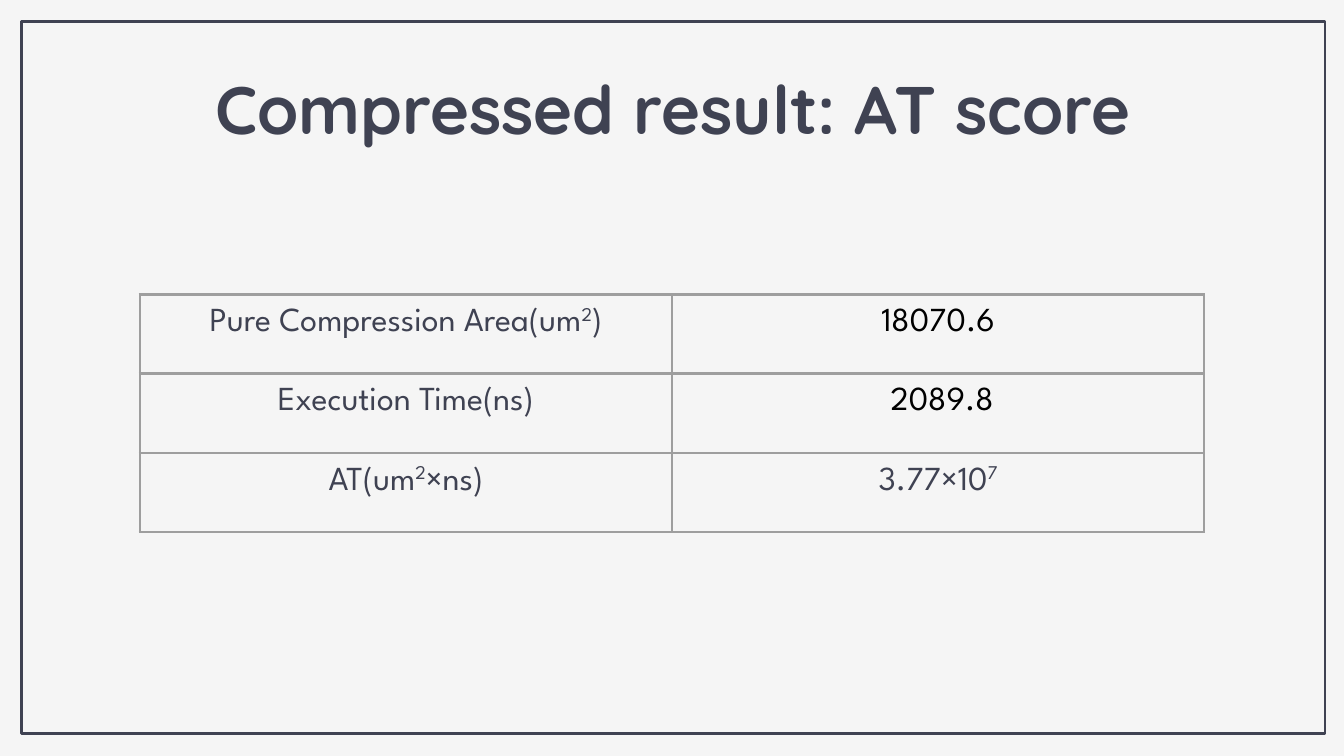
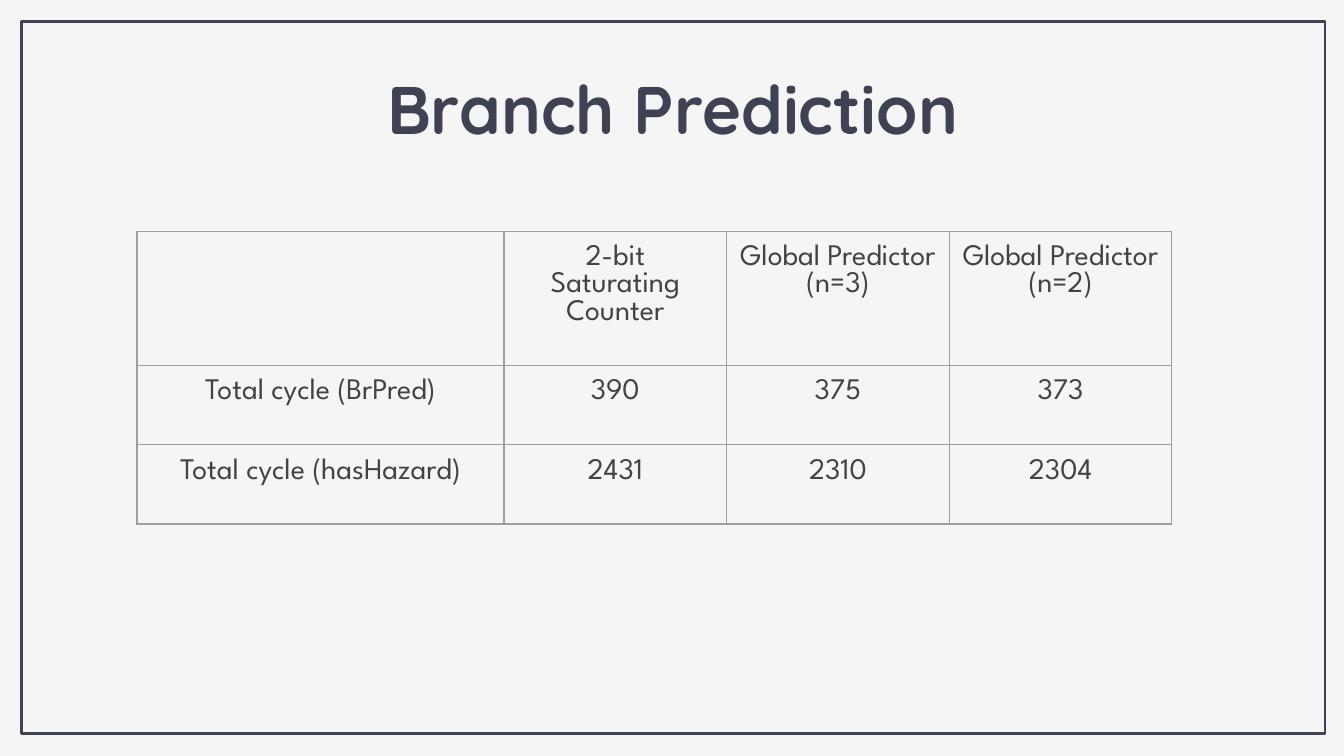
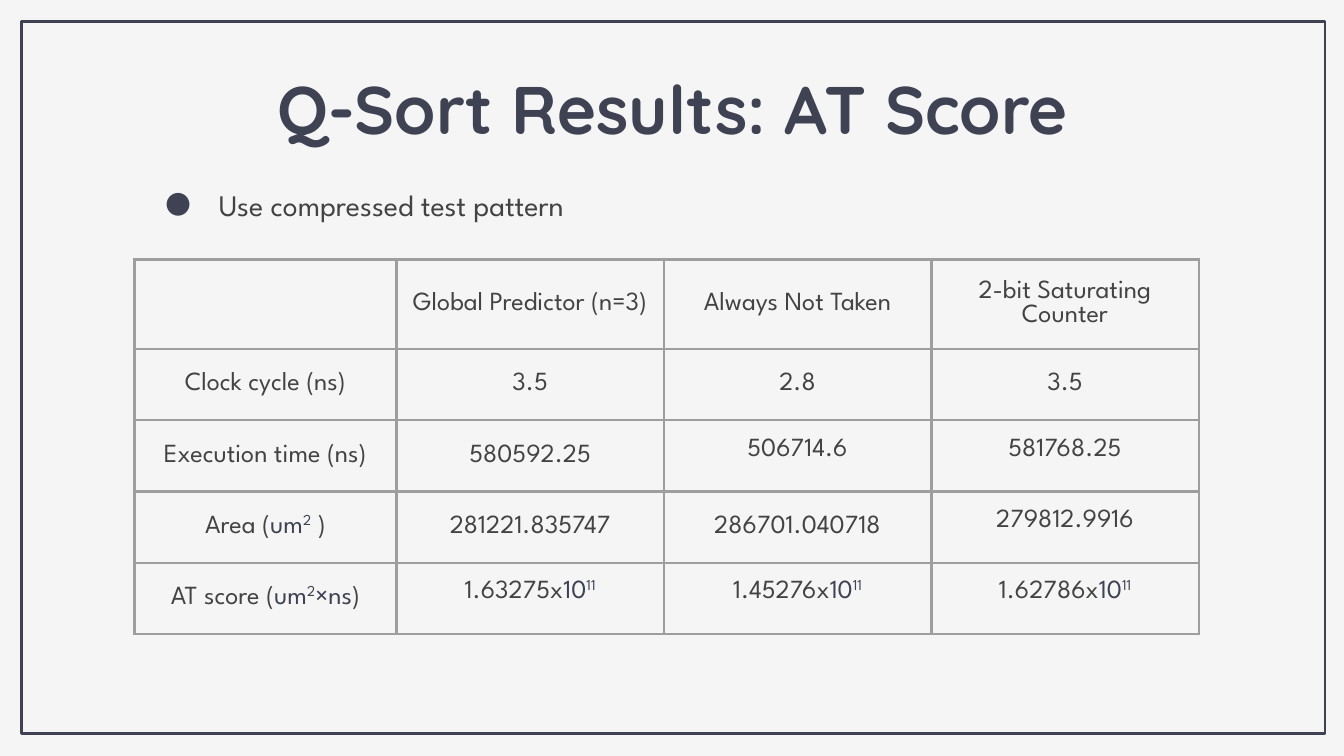
from lxml.etree import SubElement as Sub
from pptx import Presentation
from pptx.dml.color import RGBColor as RGB
from pptx.enum.shapes import MSO_SHAPE as Shape
from pptx.enum.text import MSO_ANCHOR as Anchor, PP_ALIGN as Align
from pptx.oxml.ns import qn
from pptx.util import Inches, Pt

COLORS = {"back": "F5F5F5", "navy": "3F4252", "text": "434343",
          "black": "000000", "grid": "9E9E9E"}
HEAD, BODY = "Quicksand", "League Spartan"
# A piece of cell text may start with a mark that sets its colour; ^ also raises it.
MARKS = {"*": "navy", "^": "navy", "#": "black"}

# Cells listed in "spaced" get paragraph spacing, those in "tight" thin insets.
SLIDES = [
    {"title": "Compressed result: AT score",
     "at": (1.04, 2.19), "cols": [3.96] * 2, "rows": [0.59] * 3,
     "size": 18, "color": "navy", "line": 1.5, "anchor": Anchor.TOP,
     "spaced": [(1, 1), (2, 1)], "tight": [],
     "cells": [["Pure Compression Area(um|^2|)", "#18070.6"],
               ["Execution Time(ns)", "# 2089.8"],
               ["AT(um|^2|×ns)", "3.77×10|^7"]]},
    {"title": "Branch Prediction",
     "at": (1.02, 1.72), "cols": [2.73] + [4.97 / 3] * 3, "rows": [0.59] * 3,
     "size": 16, "color": "text", "line": 0.75, "anchor": Anchor.TOP,
     "spaced": [], "tight": [],
     "cells": [["", "2-bit Saturating Counter", "Global Predictor (n=3)",
                "Global Predictor (n=2)"],
               ["Total cycle (BrPred)", "390", "375", "373"],
               ["Total cycle (hasHazard)", "2431", "2310", "2304"]]},
    {"title": "Q-Sort Results: AT Score", "point": "Use compressed test pattern",
     "at": (1, 1.93), "cols": [1.95] + [1.99] * 3, "rows": [0.66] + [0.53] * 4,
     "size": 14, "color": "text", "line": 1.5, "anchor": Anchor.MIDDLE,
     "spaced": [], "tight": [(2, 2), (2, 3), (3, 3), (4, 1), (4, 2), (4, 3)],
     "cells": [["", "Global Predictor (n=3)", "Always Not Taken",
                "2-bit Saturating Counter"],
               ["Clock cycle (ns)", "3.5", "2.8", "3.5"],
               ["Execution time (ns)", "580592.25", "506714.6", "581768.25"],
               ["Area (|*um|^2| )", "281221.835747", "286701.040718", "279812.9916"],
               ["AT score (|*um|^2|*×ns|)", "1.63275x|*10|^11",
                "1.45276x|*10|^11", "1.62786x|*10|^11"]]},
]


def style(run, face, size, color, bold=False):
    font = run.font
    font.name, font.size, font.bold = face, Pt(size), bold
    font.color.rgb = RGB.from_string(COLORS[color])


def add_text(slide, text, left, top, width, height):
    """Add a wrapping text box with even insets; return its paragraph."""
    frame = slide.shapes.add_textbox(
        Inches(left), Inches(top), Inches(width), Inches(height)).text_frame
    frame.word_wrap = True
    frame.margin_top = frame.margin_bottom = Inches(0.1)
    frame.text = text
    return frame.paragraphs[0]


prs = Presentation()
prs.slide_width = Inches(10)
prs.slide_height = prs.slide_width * 9 // 16
back = prs.slide_master.background.fill
back.solid()
back.fore_color.rgb = RGB.from_string(COLORS["back"])

for page in SLIDES:
    slide = prs.slides.add_slide(prs.slide_layouts[6])

    frame = slide.shapes.add_shape(
        Shape.RECTANGLE, Inches(0.16), Inches(0.16), Inches(9.7), Inches(5.3))
    frame.shadow.inherit = False
    frame.fill.background()
    frame.line.color.rgb = RGB.from_string(COLORS["navy"])
    frame.line.width = Pt(1.5)

    title = add_text(slide, page["title"], 0.79, 0.4, 8.43, 0.63)
    title.alignment = Align.CENTER
    style(title.runs[0], HEAD, 36, "navy", bold=True)

    if "point" in page:
        point = add_text(slide, page["point"], 1.03, 1.32, 7.87, 3.71)
        point.line_spacing = 0.9
        style(point.runs[0], BODY, 16, "text")
        props = point._p.get_or_add_pPr()
        props.set("marL", str(Inches(0.5)))
        props.set("indent", str(Inches(-0.4)))
        Sub(Sub(props, qn("a:buClr")), qn("a:srgbClr"), val=COLORS["navy"])
        Sub(props, qn("a:buFont"), typeface=BODY)
        Sub(props, qn("a:buChar"), char="●")

    cols, rows = page["cols"], page["rows"]
    left, top = page["at"]
    table = slide.shapes.add_table(
        len(rows), len(cols), Inches(left), Inches(top),
        Inches(sum(cols)), Inches(sum(rows))).table
    table.first_row = table.horz_banding = False
    for col, width in zip(table.columns, cols):
        col.width = Inches(width)
    for row, height in zip(table.rows, rows):
        row.height = Inches(height)

    for r, line in enumerate(page["cells"]):
        for c, text in enumerate(line):
            cell = table.cell(r, c)
            props = cell._tc.get_or_add_tcPr()
            for side in ("lnL", "lnR", "lnT", "lnB"):
                edge = Sub(props, qn("a:" + side), w=str(Pt(page["line"])))
                Sub(Sub(edge, qn("a:solidFill")), qn("a:srgbClr"), val=COLORS["grid"])
            cell.fill.background()
            cell.vertical_anchor = page["anchor"]
            inset = Inches(0.01 if (r, c) in page["tight"] else 0.1)
            cell.margin_left = cell.margin_right = cell.margin_top = inset
            cell.margin_bottom = Inches(0.1)

            para = cell.text_frame.paragraphs[0]
            para.alignment = Align.CENTER
            if (r, c) in page["spaced"]:
                para.space_before = para.space_after = Pt(12)
            for piece in text.split("|") if text else []:
                mark = piece[0]
                run = para.add_run()
                run.text = piece[1:] if mark in MARKS else piece
                style(run, BODY, page["size"], MARKS.get(mark, page["color"]))
                if mark == "^":
                    run._r.get_or_add_rPr().set("baseline", "30000")

prs.save("out.pptx")
